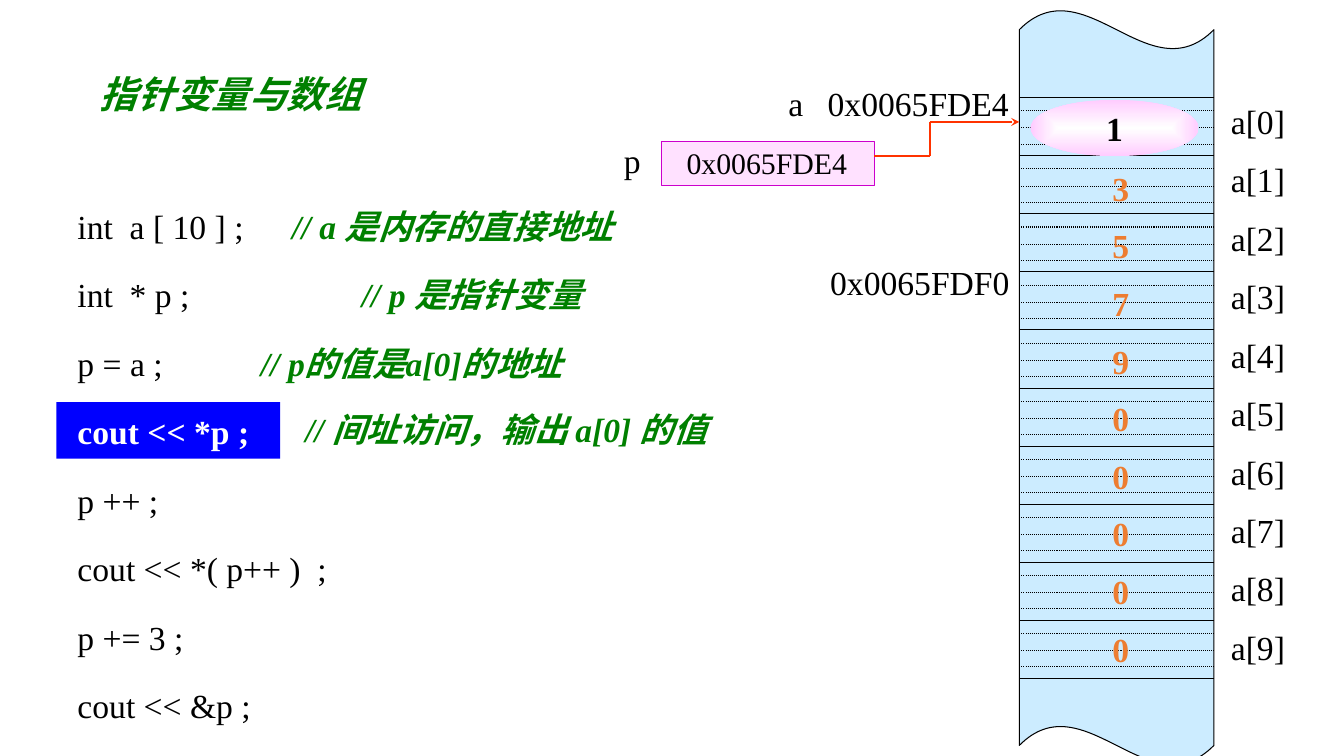
import itertools
import pptx
import pptx.util
import pptx.dml.color
import pptx.enum.dml
import pptx.enum.shapes
import pptx.enum.text
import pptx.oxml.ns
from lxml import etree
from pptx.util import Inches

BLACK, WHITE, GREEN, ORANGE, RED = "000000", "FFFFFF", "008000", "ED7D31", "FF3300"
SHAPES = pptx.enum.shapes.MSO_SHAPE
ALIGN = pptx.enum.text.PP_ALIGN


def color(value):
    return pptx.dml.color.RGBColor.from_string(value)


def add_element(parent, tag, **attributes):
    return etree.SubElement(parent, pptx.oxml.ns.qn(tag), attributes)


class SlideBuilder:
    """Holds the text style and the current slide, and draws elements on it."""

    def __init__(self, slide, font="Times New Roman", size=24):
        self.slide, self.font, self.size = slide, font, size

    def run(self, paragraph, text, ink=BLACK, bold=False, italic=False, size=None):
        run = paragraph.add_run()
        run.text = text
        font = run.font
        font.name, font.size = self.font, pptx.util.Pt(size or self.size)
        font.bold, font.italic = bold, italic
        font.color.rgb = color(ink)

    def text(self, box, paragraphs, align=ALIGN.LEFT, spacing=None, wrap=True):
        shape = self.slide.shapes.add_textbox(*map(Inches, box))
        frame = shape.text_frame
        frame.word_wrap = wrap
        for index, (runs, tab) in enumerate(paragraphs):
            paragraph = frame.add_paragraph() if index else frame.paragraphs[0]
            paragraph.alignment = align
            if spacing:
                paragraph.line_spacing = spacing
            if tab:
                tabs = add_element(paragraph._p.get_or_add_pPr(), "a:tabLst")
                add_element(tabs, "a:tab", pos=str(Inches(tab)), algn="l")
            for text, style in runs:
                self.run(paragraph, text, **style)

    def label(self, box, text, align=ALIGN.LEFT, wrap=True, tab=None, **style):
        self.text(box, [([(text, style)], tab)], align, wrap=wrap)

    def column(self, box, texts, align, spacing, wrap=True, **style):
        self.text(box, [([(text, style)], None) for text in texts], align, spacing, wrap)

    def shape(self, kind, box, fill, line=None):
        shape = self.slide.shapes.add_shape(kind, *map(Inches, box))
        shape.shadow.inherit = False
        shape.fill.solid()
        shape.fill.fore_color.rgb = color(fill)
        if line:
            shape.line.color.rgb = color(line)
            shape.line.width = pptx.util.Pt(0.75)
        else:
            shape.line.fill.background()
        return shape

    def glow(self, box, center, edge, text):
        shape = self.shape(SHAPES.OVAL, box, center)
        shape.fill.gradient()
        for stop, value in zip(shape.fill.gradient_stops, (center, edge)):
            stop.color.rgb = color(value)
        gradient = shape._element.spPr.find(pptx.oxml.ns.qn("a:gradFill"))
        gradient.remove(gradient.find(pptx.oxml.ns.qn("a:lin")))
        focus = add_element(gradient, "a:path", path="shape")
        add_element(focus, "a:fillToRect", l="50000", t="50000", r="50000", b="50000")
        frame = shape.text_frame
        frame.word_wrap = False
        frame.vertical_anchor = pptx.enum.text.MSO_ANCHOR.MIDDLE
        frame.paragraphs[0].alignment = ALIGN.CENTER
        self.run(frame.paragraphs[0], text, bold=True)

    def line(self, start, end, ink=BLACK, width=0.75, dotted=False, arrow=False):
        connector = self.slide.shapes.add_connector(
            pptx.enum.shapes.MSO_CONNECTOR.STRAIGHT, *map(Inches, (*start, *end)))
        connector.line.color.rgb = color(ink)
        connector.line.width = pptx.util.Pt(width)
        if dotted:
            connector.line.dash_style = pptx.enum.dml.MSO_LINE.ROUND_DOT
        if arrow:
            add_element(connector.line._get_or_add_ln(), "a:tailEnd", type="stealth")
        add_element(connector._element.spPr, "a:effectLst")


def draw_memory(builder):
    left, right, top, pitch, count = 10.11, 12.04, 0.97, 0.576, 10
    builder.column((12.11, 0.77, 0.89, 6.22), [f"a[{index}]" for index in range(count)],
                   ALIGN.LEFT, 1.45)
    builder.label((7.72, 0.77, 2.39, 0.6), "a\t0x0065FDE4", tab=0.39)
    strip = builder.shape(SHAPES.WAVE, (left, 0.1, right - left, 7.49), "CCECFF", BLACK)
    strip.adjustments[0], strip.adjustments[1] = 0.026, 0
    for index in range(count + 1):
        edge = top + pitch * index
        builder.line((left, edge), (right, edge))
        if index < count:
            for offset in (0.13, 0.3, 0.46):
                builder.line((left, edge + offset), (right, edge + offset), dotted=True)
    builder.label((8, 2.55, 2.11, 0.6), "0x0065FDF0", ALIGN.RIGHT)
    builder.column((10.93, 0.87, 0.37, 5.88), "1357900000", ALIGN.CENTER, 1.43,
                   wrap=False, ink=ORANGE, bold=True)


def draw_code(builder):
    plain = {}
    comment = dict(ink=GREEN, bold=True, italic=True)
    active = dict(ink=WHITE, bold=True)
    rows = [
        ([("int  a [ 10 ] ;\t", plain), ("// a 是内存的直接地址", comment)], 2.13),
        ([("int  * p ;\t", plain), ("// p 是指针变量", comment)], 2.82),
        ([("p = a ;\t", plain), ("// p的值是a[0]的地址", comment)], 1.82),
        ([("cout << *p ;", active)], None),
    ]
    rows += [([(text, plain)], None)
             for text in ("p ++ ;", "cout << *( p++ )  ;", "p += 3 ;", "cout << &p ;")]
    builder.text((0.67, 1.71, 6.31, 5.59), rows, spacing=1.7)
    builder.label((2.93, 4.01, 4.69, 0.5), "// 间址访问，输出 a[0] 的值", **comment)


def draw_pointer(builder):
    builder.shape(SHAPES.RECTANGLE, (6.56, 1.4, 2.11, 0.44), "FFE1FF", "CC00CC")
    builder.label((6.09, 1.34, 0.37, 0.5), "p", wrap=False)
    builder.label((6.7, 1.39, 1.81, 0.46), "0x0065FDE4", ALIGN.CENTER, wrap=False, size=21.3)
    corners = [(8.67, 1.55), (9.22, 1.55), (9.22, 1.21), (10.11, 1.21)]
    for start, end in itertools.pairwise(corners):
        builder.line(start, end, RED, 1.5, arrow=end == corners[-1])
    builder.glow((10.22, 0.99, 1.67, 0.56), WHITE, "FFCCFF", "1")


def main():
    presentation = pptx.Presentation()
    presentation.slide_width, presentation.slide_height = Inches(13.33), Inches(7.5)
    builder = SlideBuilder(presentation.slides.add_slide(presentation.slide_layouts[6]))
    builder.shape(SHAPES.RECTANGLE, (0.56, 3.99, 2.22, 0.56), "0000FF")
    draw_memory(builder)
    draw_code(builder)
    draw_pointer(builder)
    builder.label((0.89, 0.66, 2.92, 0.55), "指针变量与数组", wrap=False,
                  ink=GREEN, bold=True, italic=True, size=26.7)
    presentation.save("out.pptx")


if __name__ == "__main__":
    main()
